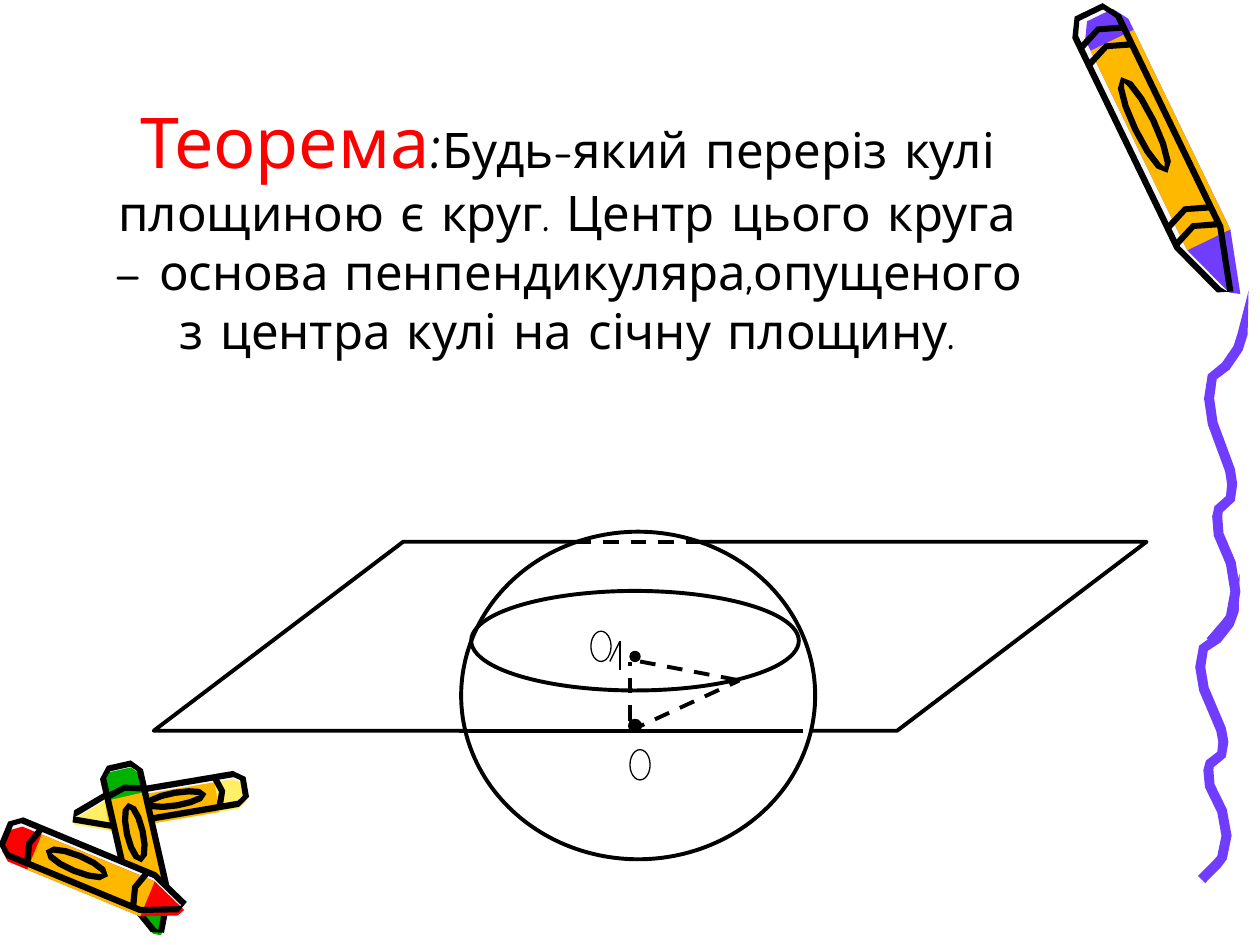
"""Builds the slide on a plane section of a ball, framed by crayons drawn from one recipe."""
from math import cos, hypot, pi, sin

from lxml.etree import SubElement
from pptx import Presentation
from pptx.dml.color import RGBColor
from pptx.enum.dml import MSO_LINE
from pptx.enum.shapes import MSO_CONNECTOR, MSO_SHAPE
from pptx.enum.text import MSO_ANCHOR, MSO_AUTO_SIZE, PP_ALIGN
from pptx.oxml.ns import qn
from pptx.util import Inches, Pt

BLACK = RGBColor(0x00, 0x00, 0x00)
WHITE = RGBColor(0xFF, 0xFF, 0xFF)
PAPER = RGBColor(0xF8, 0xF8, 0xF8)
RED = RGBColor(0xFF, 0x00, 0x00)
GREEN = RGBColor(0x00, 0xB2, 0x00)
ORANGE = RGBColor(0xFF, 0xB8, 0x00)
YELLOW = RGBColor(0xFF, 0xEF, 0x66)
VIOLET = RGBColor(0x70, 0x3D, 0xFF)

FONT = "Comic Neue"
TITLE_FRAME = (0.75, 1.15, 7.51, 1.75)
TITLE = [
    ("Теорема", 40, RED),
    (":", 40, BLACK),
    ("Будь-який переріз кулі площиною є круг. Центр цього круга – основа "
     "пенпендикуляра,опущеного з центра кулі на січну площину.", 28, BLACK),
]

SMALL_BANDS = (0.16, 0.76)
CRAYONS = [
    dict(cap=(1.94, 6.25), tip=(0.58, 6.48), width=0.24, lead=YELLOW, shift=(0, 0.04), bands=SMALL_BANDS),
    dict(cap=(0.95, 6.08), tip=(1.25, 7.4), width=0.3, lead=GREEN, shift=(0, 0.03), bands=SMALL_BANDS),
    dict(cap=(0.05, 6.62), tip=(1.45, 7.2), width=0.3, lead=RED, shift=(0, 0.05), bands=SMALL_BANDS),
    dict(cap=(8.65, 0.1), tip=(9.73, 2.33), width=0.38, lead=VIOLET, shift=(0.08, 0.02),
         bands=(0.09, 0.15, 0.73, 0.79)),
]
INK = 0.05
BODY_END = 0.8
SILHOUETTE = [(0.05, -0.5), (BODY_END, -0.5), (0.98, -0.1), (1, 0.1), (BODY_END, 0.5),
              (0.05, 0.5), (0, 0.3), (0, -0.3), (0.05, -0.5)]
LABEL_CENTRE, LABEL_LENGTH, LABEL_BREADTH, LABEL_SIDES = 0.4, 0.32, 0.42, 12

WAVE = [(0.97, 0), (0.84, 0.12), (0.74, 0.16), (0.47, 0.21), (0.17, 0.24), (0.1, 0.3), (0.18, 0.37),
        (0.56, 0.5), (0.61, 0.54), (0.57, 0.58), (0.31, 0.61), (0.28, 0.63), (0.31, 0.68),
        (0.58, 0.76), (0.68, 0.84), (0.58, 0.91), (0.47, 0.93), (0.13, 0.98)]
WAVE_WIDTH = 0.08
WAVE_FRAMES = [(9.49, 4.55, 0.36, 2.48), (9.56, 2.31, 0.36, 2.84)]

PLANE = (1.22, 4.3, 7.88, 1.5)
PLANE_SLANT = 1.32
BALL = (3.66, 4.22, 2.81, 2.6)
SECTION = (3.74, 4.69, 2.6, 0.79)
CENTRES = [((5, 5.17, 0.08, 0.08), 0.75), ((5, 5.72, 0.08, 0.08), 2.25)]
LETTERS = [(5, 5.95, 0.16, 0.24), (4.69, 5.01, 0.16, 0.24)]
RIM = (5.87, 5.4)
BALL_CENTRE = (5, 5.72)
DIGIT_TOP = (4.92, 5.09)
THICK_LINES = [((3.64, 5.8), (6.37, 5.8))]
THIN_LINES = [(BALL_CENTRE, (5, 5.8)), (DIGIT_TOP, (4.84, 5.25)), (DIGIT_TOP, (4.92, 5.32))]
DASHED_LINES = [((4.57, 4.3), (5.59, 4.3)), (BALL_CENTRE, (5, 5.25)), ((5, 5.8), RIM), ((5.08, 5.25), RIM)]


def draw_polygon(page, points, colour):
    corners = [(Inches(x), Inches(y)) for x, y in points]
    builder = page.shapes.build_freeform(*corners[0])
    builder.add_line_segments(corners[1:], close=True)
    paint(builder.convert_to_shape(), colour)


def paint(shape, fill, line_width=None):
    shape.shadow.inherit = False
    if fill is None:
        shape.fill.background()
    else:
        shape.fill.solid()
        shape.fill.fore_color.rgb = fill
    if line_width is None:
        shape.line.fill.background()
    else:
        shape.line.color.rgb = BLACK
        shape.line.width = Pt(line_width)


def ribbon(centres, widths):
    """Returns the outline of a band that follows the centre line."""
    left, right = [], []
    last = len(centres) - 1
    closed = centres[0] == centres[-1]
    for index, ((x, y), width) in enumerate(zip(centres, widths)):
        before = centres[last - 1 if closed and index == 0 else max(index - 1, 0)]
        after = centres[1 if closed and index == last else min(index + 1, last)]
        run, rise = after[0] - before[0], after[1] - before[1]
        half = width / 2 / hypot(run, rise)
        left.append((x - rise * half, y + run * half))
        right.append((x + rise * half, y - run * half))
    return left + right[::-1]


def draw_stroke(page, centres):
    draw_polygon(page, ribbon(centres, [INK] * len(centres)), BLACK)


def draw_crayon(page, cap, tip, width, lead, shift, bands):
    """Maps the recipe, given along and across the crayon, to the page."""
    run, rise = tip[0] - cap[0], tip[1] - cap[1]
    length = hypot(run, rise)

    def place(points, offset=(0, 0)):
        return [(cap[0] + along * run + across * width * rise / length + offset[0],
                 cap[1] + along * rise - across * width * run / length + offset[1])
                for along, across in points]

    wrapper = [(bands[0], -0.5), (BODY_END, -0.5), (BODY_END, 0.5), (bands[0], 0.5)]
    angles = [2 * pi * side / LABEL_SIDES for side in range(LABEL_SIDES)]
    label = [(LABEL_CENTRE + LABEL_LENGTH / 2 * cos(angle), LABEL_BREADTH / 2 * sin(angle)) for angle in angles]
    draw_polygon(page, place(SILHOUETTE), PAPER)
    draw_polygon(page, place(SILHOUETTE, shift), lead)
    draw_polygon(page, place(wrapper, shift), ORANGE)
    draw_stroke(page, place(SILHOUETTE))
    draw_stroke(page, place(label + label[:1]))
    for band in bands:
        draw_stroke(page, place([(band, -0.5), (band - 0.03, 0), (band, 0.5)]))


def draw_wave(page, left, top, width, height):
    centres = [(left + across * width, top + down * height) for across, down in WAVE]
    draw_polygon(page, ribbon(centres, [0] + [WAVE_WIDTH] * (len(WAVE) - 1)), VIOLET)


def draw_preset(page, kind, frame, fill, line_width):
    shape = page.shapes.add_shape(kind, *map(Inches, frame))
    paint(shape, fill, line_width)
    return shape


def draw_line(page, start, end, width, dashed=False):
    line = page.shapes.add_connector(MSO_CONNECTOR.STRAIGHT, *map(Inches, start + end))
    line.line.color.rgb = BLACK
    line.line.width = Pt(width)
    if dashed:
        line.line.dash_style = MSO_LINE.DASH
    SubElement(line._element.spPr, qn("a:effectLst"))


def write_title(page):
    box = page.shapes.title
    box.left, box.top, box.width, box.height = map(Inches, TITLE_FRAME)
    frame = box.text_frame
    frame.word_wrap = True
    frame.auto_size = MSO_AUTO_SIZE.NONE
    frame.vertical_anchor = MSO_ANCHOR.BOTTOM
    para = frame.paragraphs[0]
    para.alignment = PP_ALIGN.CENTER
    for text, size, colour in TITLE:
        span = para.add_run()
        span.text = text
        span.font.name = FONT
        span.font.size = Pt(size)
        span.font.color.rgb = colour


def draw_diagram(page):
    plane = draw_preset(page, MSO_SHAPE.PARALLELOGRAM, PLANE, WHITE, 2.25)
    plane.adjustments[0] = PLANE_SLANT
    draw_preset(page, MSO_SHAPE.OVAL, BALL, WHITE, 2.25)
    for frame, line_width in CENTRES:
        draw_preset(page, MSO_SHAPE.OVAL, frame, BLACK, line_width)
    for frame in LETTERS:
        draw_preset(page, MSO_SHAPE.OVAL, frame, WHITE, 0.75)
    draw_preset(page, MSO_SHAPE.OVAL, SECTION, None, 2.25)
    for lines, width, dashed in ((THICK_LINES, 2.25, False), (THIN_LINES, 0.75, False), (DASHED_LINES, 2.25, True)):
        for start, end in lines:
            draw_line(page, start, end, width, dashed)


def main():
    deck = Presentation()
    deck.slide_width, deck.slide_height = Inches(10), Inches(7.5)
    page = deck.slides.add_slide(deck.slide_layouts[5])
    for crayon in CRAYONS:
        draw_crayon(page, **crayon)
    for frame in WAVE_FRAMES:
        draw_wave(page, *frame)
    write_title(page)
    draw_diagram(page)
    deck.save("out.pptx")


if __name__ == "__main__":
    main()
